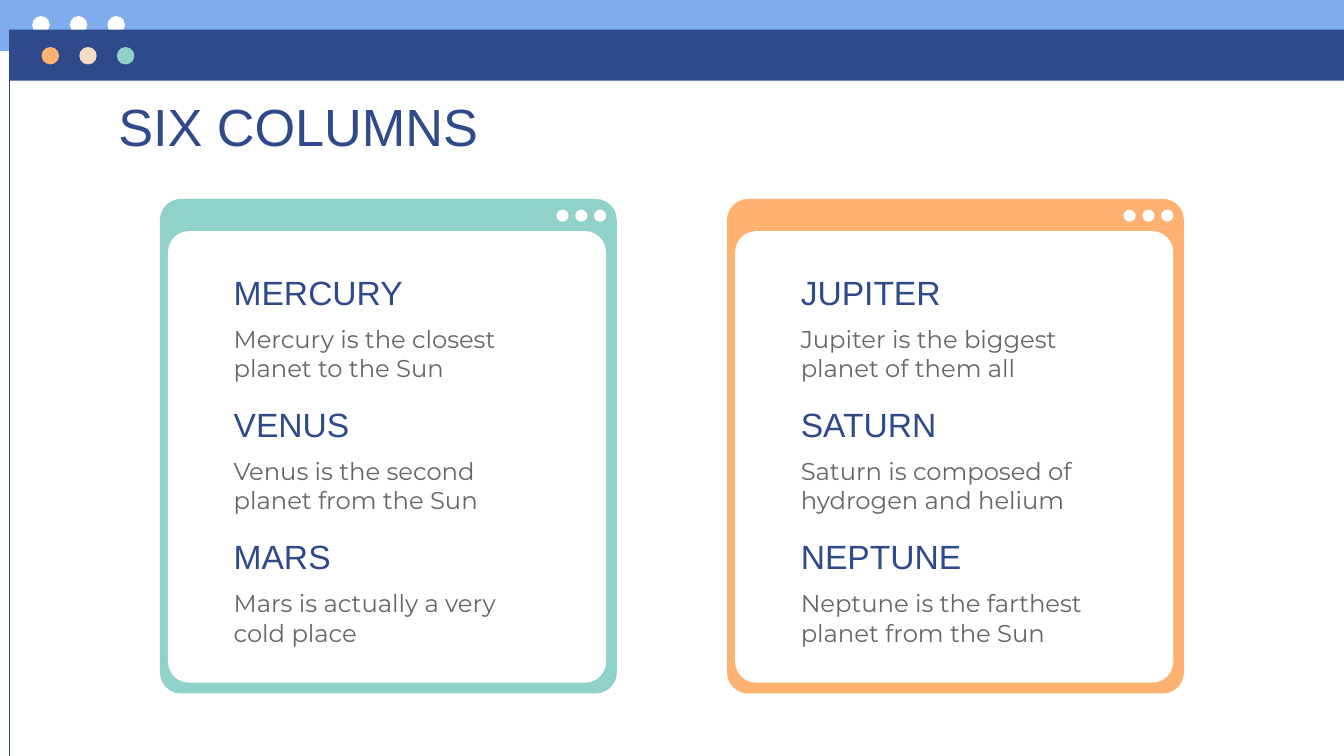
from lxml import etree
from pptx import Presentation
from pptx.dml.color import RGBColor
from pptx.enum.shapes import MSO_CONNECTOR, MSO_SHAPE
from pptx.enum.text import MSO_ANCHOR, MSO_AUTO_SIZE, PP_ALIGN
from pptx.oxml.ns import qn
from pptx.util import Inches, Pt

RECTANGLE = MSO_SHAPE.RECTANGLE
ROUNDED = MSO_SHAPE.ROUNDED_RECTANGLE
OVAL = MSO_SHAPE.OVAL
TOP = MSO_ANCHOR.TOP
LEFT = PP_ALIGN.LEFT

# Content
TITLE = "SIX COLUMNS"
NAVY, SKY, WHITE, GREY = "2F4A8A", "7EACEC", "FFFFFF", "666666"
TEAL, ORANGE, PEACH = "90D1CB", "FFB172", "F8DBC4"
CARDS = [
    (TEAL, [
        ("MERCURY", "Mercury is the closest planet to the Sun"),
        ("VENUS", "Venus is the second planet from the Sun"),
        ("MARS", "Mars is actually a very cold place"),
    ]),
    (ORANGE, [
        ("JUPITER", "Jupiter is the biggest planet of them all"),
        ("SATURN", "Saturn is composed of hydrogen and helium"),
        ("NEPTUNE", "Neptune is the farthest planet from the Sun"),
    ]),
]
# Window bars: left, top, fill, first dot left, dot top, dot colours
BARS = [
    (0, 0, SKY, 0.24, 0.12, [WHITE] * 3),
    (0.07, 0.22, NAVY, 0.31, 0.35, [ORANGE, PEACH, TEAL]),
]

# Layout, in inches
WIDTH = 10
HEIGHT = WIDTH * 9 / 16
BAR_HEIGHT, BAR_DOT, BAR_DOT_STEP = 0.38, 0.13, 0.28
CARD_LEFT, CARD_TOP, CARD_STEP = 1.19, 1.48, 4.22
CARD_DOT, CARD_DOT_STEP = 0.09, 0.14
ROW_TOP, ROW_STEP = 1.92, 1.97 / 2
TEXT_WIDTH = 2.49


def color(value):
    return RGBColor.from_string(value)


def add_shape(kind, left, top, width, height, fill, corner=None):
    shape = slide.shapes.add_shape(
        kind, Inches(left), Inches(top), Inches(width), Inches(height))
    shape.shadow.inherit = False
    shape.fill.solid()
    shape.fill.fore_color.rgb = color(fill)
    shape.line.fill.background()
    if corner is not None:
        shape.adjustments[0] = corner


def write(box, text, size, font_name, text_color, space_after=0):
    frame = box.text_frame
    frame.word_wrap = True
    frame.auto_size = MSO_AUTO_SIZE.NONE
    frame.vertical_anchor = TOP
    frame.margin_left = frame.margin_right = Inches(0.1)
    frame.margin_top = frame.margin_bottom = Inches(0.1)
    paragraph = frame.paragraphs[0]
    paragraph.alignment = LEFT
    paragraph.line_spacing = 1.0
    paragraph.space_before = Pt(0)
    paragraph.space_after = Pt(space_after)
    run = paragraph.add_run()
    run.text = text
    run.font.size = Pt(size)
    run.font.name = font_name
    run.font.color.rgb = color(text_color)


def add_text(left, top, height, *style, **options):
    box = slide.shapes.add_textbox(
        Inches(left), Inches(top), Inches(TEXT_WIDTH), Inches(height))
    write(box, *style, **options)


presentation = Presentation()
presentation.slide_width = Inches(WIDTH)
presentation.slide_height = Inches(HEIGHT)
slide = presentation.slides.add_slide(presentation.slide_layouts[5])
slide.background.fill.solid()
slide.background.fill.fore_color.rgb = color(WHITE)

# Window bars with their dots
for left, top, fill, dot_left, dot_top, dot_colors in BARS:
    add_shape(RECTANGLE, left, top, WIDTH - left, BAR_HEIGHT, fill)
    for index, dot_color in enumerate(dot_colors):
        add_shape(OVAL, dot_left + index * BAR_DOT_STEP, dot_top,
                  BAR_DOT, BAR_DOT, dot_color)

# Left edge of the window
edge = slide.shapes.add_connector(
    MSO_CONNECTOR.STRAIGHT, Inches(0.07), Inches(0.22), Inches(0.07), Inches(HEIGHT))
edge.line.color.rgb = color(NAVY)
edge.line.width = Pt(0.75)
etree.SubElement(edge.element.spPr, qn("a:effectLst"))

# Title
title = slide.shapes.title
title.left, title.top = Inches(0.78), Inches(0.6)
title.width, title.height = Inches(8.44), Inches(0.51)
write(title, TITLE, 28, "Arial", NAVY)

# Cards with their planets
for column, (card_color, planets) in enumerate(CARDS):
    left = CARD_LEFT + column * CARD_STEP
    add_shape(ROUNDED, left, CARD_TOP, 3.4, 3.68, card_color, 0.046)
    add_shape(ROUNDED, left + 0.06, CARD_TOP + 0.24, 3.26, 3.36, WHITE, 0.048)
    for index in range(3):
        add_shape(OVAL, left + 2.95 + index * CARD_DOT_STEP, CARD_TOP + 0.08,
                  CARD_DOT, CARD_DOT, WHITE)
    for row, (name, description) in enumerate(planets):
        top = ROW_TOP + row * ROW_STEP
        add_text(left + 0.45, top, 0.51, name, 18, "Arial", NAVY)
        add_text(left + 0.45, top + 0.39, 0.58, description, 13, "Montserrat",
                 GREY, space_after=12)

presentation.save("out.pptx")
